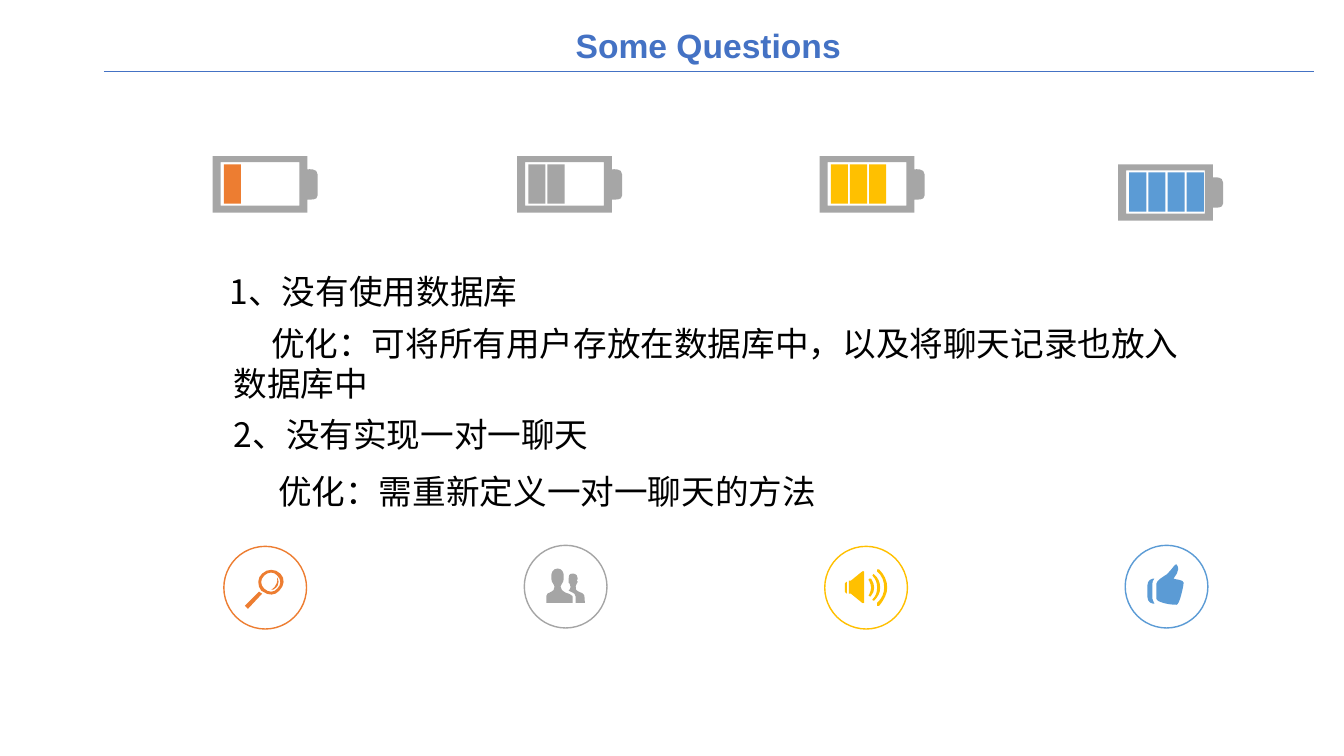
"""Build the "Some Questions" slide: four batteries, four round icons and the question text."""
from lxml import etree
from pptx import Presentation
from pptx.dml.color import RGBColor
from pptx.enum.shapes import MSO_CONNECTOR, MSO_SHAPE
from pptx.enum.text import MSO_AUTO_SIZE, PP_ALIGN
from pptx.oxml.ns import qn
from pptx.util import Emu, Pt

PX = 9144
COLORS = {"orange": "ED7D31", "grey": "A5A5A5", "yellow": "FFC000", "blue": "5B9BD5",
          "case": "A6A6A6", "title": "4472C4", "text": "000000"}

BATTERIES = [(211, 155, "orange"), (513, 155, "grey"), (813, 155, "yellow"), (1109, 163, "blue")]
CELL = {"left": 11, "top": 8, "width": 17, "height": 39, "step": 19}
CIRCLE = 82

# A two-number step is a straight line; a six-number step is a Bézier curve.
CASE = [
    [(94, 13), (94, 0), (0, 0), (0, 56), (94, 56), (94, 43), (97, 43, 104, 44, 104, 39),
     (104, 18), (104, 12, 96, 13, 94, 13)],
    [(86, 49), (8, 49), (8, 6), (86, 6)],
]
MAGNIFIER = [
    [[(56, 27), (51, 22, 43, 22, 38, 27), (33, 31, 33, 39, 37, 44), (39, 45),
      (44, 49, 51, 49, 55, 44), (60, 39, 61, 32, 56, 27)],
     [(53, 42), (50, 46, 44, 46, 40, 42), (36, 38, 36, 33, 40, 29),
      (44, 25, 50, 25, 53, 29), (57, 33, 57, 38, 53, 42)]],
    [[(21, 59), (24, 62), (38, 47), (35, 45)]],
    [[(53, 31), (54, 40, 47, 43, 47, 43), (49, 43), (58, 38, 53, 31, 53, 31)]],
]
PEOPLE = [
    [[(60, 57), (60, 57, 60, 49, 59, 49), (59, 48, 57, 47, 54, 46), (51, 45, 51, 44, 51, 41),
      (51, 40, 51, 41, 52, 38), (52, 37, 53, 38, 53, 36), (53, 35, 52, 35, 52, 35),
      (52, 35, 53, 34, 53, 33), (53, 31, 52, 28, 48, 28), (44, 28, 44, 31, 44, 33), (44, 36),
      (44, 38, 44, 37, 45, 38), (45, 41, 46, 40, 46, 41), (46, 43, 45, 44, 44, 45),
      (50, 48, 51, 48, 51, 51), (51, 57)],
     [(41, 47), (38, 45, 36, 44, 36, 41), (36, 39, 37, 40, 38, 37), (38, 36, 39, 37, 39, 34),
      (39, 29), (39, 28, 38, 23, 33, 23), (28, 23, 27, 28, 27, 29), (27, 34),
      (27, 37, 28, 36, 28, 37), (29, 40, 30, 39, 30, 41), (30, 44, 29, 45, 25, 47),
      (24, 47, 22, 48, 22, 50), (22, 57), (48, 57), (48, 57, 48, 53, 48, 51),
      (48, 50, 45, 48, 41, 47)]],
]
SPEAKER = [
    [[(37, 25), (26, 34), (24, 34), (24, 47), (26, 47), (37, 56), (37, 56, 39, 57, 39, 56),
      (39, 25), (39, 24, 37, 25, 37, 25)]],
    [[(20, 37), (20, 45), (20, 46, 21, 46, 22, 47), (22, 35), (21, 36, 20, 36, 20, 37)]],
    [[(46, 32), (44, 32), (43, 33, 43, 34, 44, 34), (45, 36, 46, 39, 46, 41),
      (46, 43, 45, 46, 44, 48), (43, 48, 43, 49, 44, 49), (44, 50, 44, 50, 45, 50), (46, 49),
      (48, 47, 49, 44, 49, 41), (49, 38, 48, 35, 46, 32)]],
    [[(49, 28), (49, 27, 48, 27, 48, 28), (47, 28, 47, 29, 48, 30), (51, 33, 52, 37, 52, 41),
      (52, 45, 51, 49, 48, 52), (47, 52, 47, 53, 48, 54), (49, 54),
      (53, 50, 55, 46, 55, 41), (55, 36, 53, 31, 49, 28)]],
    [[(54, 23), (52, 23), (52, 25), (57, 29, 59, 35, 59, 41), (59, 46, 57, 52, 52, 56),
      (52, 59), (54, 59), (59, 53, 62, 47, 62, 41), (62, 34, 59, 28, 54, 23)]],
]
THUMB = [
    [[(48, 33), (48, 32, 56, 25, 51, 19), (50, 17, 46, 25, 41, 29), (38, 31, 31, 35, 31, 38),
      (31, 53), (31, 56, 42, 59, 51, 59), (54, 59, 58, 40, 58, 37), (58, 34, 49, 34, 48, 33)],
     [(29, 33), (27, 33, 22, 34, 22, 40), (22, 51), (22, 57, 27, 58, 29, 58),
      (30, 58, 27, 56, 27, 53), (27, 38), (27, 34, 30, 33, 29, 33)]],
]
ICONS = [(222, 542, "orange", MAGNIFIER), (520, 541, "grey", PEOPLE),
         (818, 542, "yellow", SPEAKER), (1116, 541, "blue", THUMB)]

TITLE = ("Some Questions", (536, 25, 333, 40))
RULE = (103, 71, 1303, 71)
LINES = [
    ("1、没有使用数据库", (218, 264, 985, 50), 0),
    ("2、没有实现一对一聊天", (222, 406, 901, 50), 0),
    ("优化：可将所有用户存放在数据库中，以及将聊天记录也放入数据库中", (222, 315, 985, 91), 37),
    ("优化：需重新定义一对一聊天的方法", (222, 462, 901, 50), 44),
]


def px(*values):
    return [Emu(v * PX) for v in values]


def rgb(name):
    return RGBColor.from_string(COLORS[name])


def paint(s, color):
    s.shadow.inherit = False
    s.fill.solid()
    s.fill.fore_color.rgb = rgb(color)
    s.line.fill.background()


def bend(segment, controls, origin):
    segment.tag = qn("a:cubicBezTo")
    for i in (0, 1):
        pt = etree.Element(qn("a:pt"))
        for k, axis in enumerate("xy"):
            pt.set(axis, str(controls[2 * i + k] * PX - origin[k]))
        segment.insert(i, pt)


def add_outline(shapes, contours, left, top, color):
    builder = None
    for contour in contours:
        start, *ends = [px(left + step[-2], top + step[-1]) for step in contour]
        if builder is None:
            builder = shapes.build_freeform(*start, scale=1.0)
        else:
            builder.move_to(*start)
        builder.add_line_segments(ends, close=True)
    s = builder.convert_to_shape()
    steps = [step for contour in contours for step in contour[1:]]
    origin = (left * PX - s.left, top * PX - s.top)
    for segment, step in zip(list(s._element.iter(qn("a:lnTo"))), steps):
        if len(step) == 6:
            bend(segment, step[:4], (-origin[0], -origin[1]))
    paint(s, color)


def add_battery(slide, left, top, color, level):
    shapes = slide.shapes.add_group_shape().shapes
    add_outline(shapes, CASE, left, top, "case")
    for i in range(level):
        x = left + CELL["left"] + i * CELL["step"]
        box = px(x, top + CELL["top"], CELL["width"], CELL["height"])
        paint(shapes.add_shape(MSO_SHAPE.RECTANGLE, *box), color)


def add_icon(slide, left, top, color, parts):
    shapes = slide.shapes.add_group_shape().shapes
    s = shapes.add_shape(MSO_SHAPE.OVAL, *px(left, top, CIRCLE, CIRCLE))
    s.shadow.inherit = False
    s.fill.background()
    s.line.color.rgb = rgb(color)
    s.line.width = Pt(1)
    for contours in parts:
        add_outline(shapes, contours, left, top, color)


def add_text(slide, text, box, font, color, bold=False, indent=0):
    tf = slide.shapes.add_textbox(*px(*box)).text_frame
    tf.word_wrap = True
    tf.auto_size = MSO_AUTO_SIZE.SHAPE_TO_FIT_TEXT
    p = tf.paragraphs[0]
    if indent:
        p._p.get_or_add_pPr().set("indent", str(indent * PX))
    r = p.add_run()
    r.text = text
    for name, value in {"name": font, "size": Pt(24), "bold": bold}.items():
        setattr(r.font, name, value)
    r.font.color.rgb = rgb(color)
    etree.SubElement(r._r.get_or_add_rPr(), qn("a:ea")).set("typeface", font)
    return tf


def main():
    prs = Presentation()
    prs.slide_width, prs.slide_height = px(1333, 750)
    slide = prs.slides.add_slide(prs.slide_layouts[6])
    for level, (left, top, color) in enumerate(BATTERIES, 1):
        add_battery(slide, left, top, color, level)
    for icon in ICONS:
        add_icon(slide, *icon)

    tf = add_text(slide, *TITLE, "Arial", "title", bold=True)
    for side in ("left", "top", "right", "bottom"):
        setattr(tf, f"margin_{side}", 0)
    tf.paragraphs[0].alignment = PP_ALIGN.CENTER
    tf.paragraphs[0].space_after = Pt(6)

    rule = slide.shapes.add_connector(MSO_CONNECTOR.STRAIGHT, *px(*RULE))
    rule.line.color.rgb = rgb("title")
    rule.line.width = Pt(0.5)
    etree.SubElement(rule._element.spPr, qn("a:effectLst"))

    for text, box, indent in LINES:
        add_text(slide, text, box, "Noto Sans CJK SC", "text", indent=indent)
    prs.save("out.pptx")


if __name__ == "__main__":
    main()
